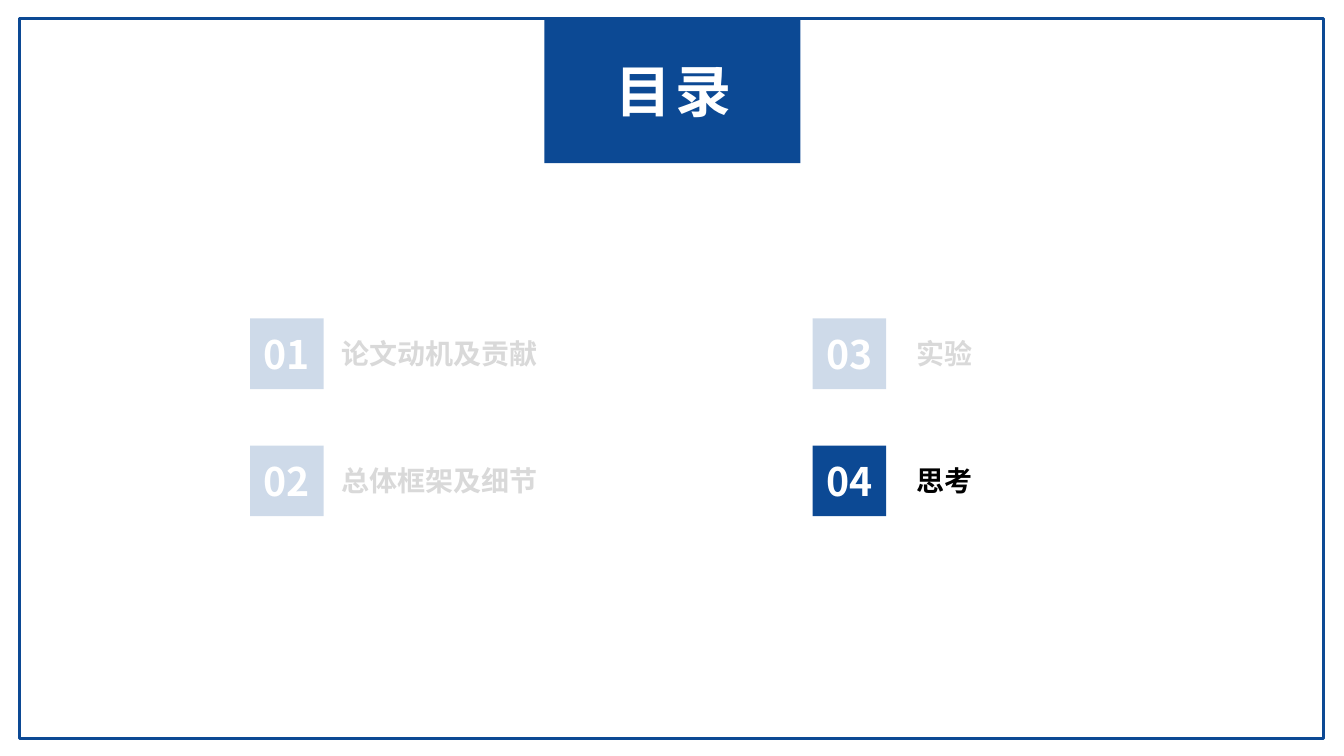
from dataclasses import dataclass

from lxml import etree
from pptx import Presentation
from pptx.dml.color import RGBColor
from pptx.enum.shapes import MSO_SHAPE
from pptx.enum.text import MSO_ANCHOR, MSO_AUTO_SIZE, PP_ALIGN
from pptx.oxml.ns import qn
from pptx.util import Pt

RECT, ROUND = MSO_SHAPE.RECTANGLE, MSO_SHAPE.ROUNDED_RECTANGLE
TOP, MIDDLE = MSO_ANCHOR.TOP, MSO_ANCHOR.MIDDLE
LEFT, CENTER = PP_ALIGN.LEFT, PP_ALIGN.CENTER
GROW = MSO_AUTO_SIZE.SHAPE_TO_FIT_TEXT

PX = 9144
FONT = "Noto Sans CJK SC"
COLORS = {"blue": "0C4994", "white": "FFFFFF", "gray": "D9D9D9", "black": "000000"}
BADGE_W, BADGE_H = 73, 70
ROW_TOP, ROW_STEP = 316, 126
LABEL_DROP, LABEL_H = 13, 44


@dataclass
class Column:
    badge_x: int
    label_x: int
    label_w: int


@dataclass
class Entry:
    text: str
    column: Column
    row: int
    active: bool = False


LEFT_COLUMN = Column(248, 329, 221)
RIGHT_COLUMN = Column(806, 899, 255)
ENTRIES = [
    Entry("论文动机及贡献", LEFT_COLUMN, 0),
    Entry("总体框架及细节", LEFT_COLUMN, 1),
    Entry("实验", RIGHT_COLUMN, 0),
    Entry("思考", RIGHT_COLUMN, 1, active=True),
]


def rgb(name: str) -> RGBColor:
    return RGBColor.from_string(COLORS[name])


def emu(*px: int) -> list[int]:
    return [v * PX for v in px]


def write(shape, text: str, size: int, color: str, align=LEFT, **frame):
    tf = shape.text_frame
    for name, value in frame.items():
        setattr(tf, name, value)
    p = tf.paragraphs[0]
    p.alignment = align
    r = p.add_run()
    r.text = text
    r.font.color.rgb = rgb(color)
    for name, value in {"size": Pt(size), "bold": True, "name": FONT}.items():
        setattr(r.font, name, value)
    rPr = r.font._element if hasattr(r.font, "_element") else r._r.get_or_add_rPr()
    etree.SubElement(rPr, qn("a:ea"), typeface=FONT)
    return rPr


def add_box(s, kind, box: list[int], fill: str = "", line: str = "", opacity: int = 100):
    sp = s.shapes.add_shape(kind, *box)
    sp.shadow.inherit = False
    if fill:
        sp.fill.solid()
        sp.fill.fore_color.rgb = rgb(fill)
    else:
        sp.fill.background()
    if line:
        sp.line.color.rgb = rgb(line)
        sp.line.width = Pt(2.25)
    else:
        sp.line.fill.background()
    if opacity < 100:
        color = sp.element.spPr.find(qn("a:solidFill"))[0]
        etree.SubElement(color, qn("a:alpha"), val=str(opacity * 1000))
    return sp


def add_title(s, text: str) -> None:
    title = s.shapes.title
    title.element.getparent().append(title.element)
    title.left, title.top, title.width, title.height = emu(600, 51, 141, 77)
    rPr = write(title, text, 40, "white", word_wrap=False,
                auto_size=GROW, vertical_anchor=TOP)
    rPr.set("spc", "300")


def add_entry(s, number: int, entry: Entry) -> None:
    col = entry.column
    y = ROW_TOP + entry.row * ROW_STEP
    badge = add_box(s, ROUND, emu(col.badge_x, y, BADGE_W, BADGE_H), "blue",
                    opacity=100 if entry.active else 20)
    badge.adjustments[0] = 0
    write(badge, f"{number:02}", 28, "white", CENTER, vertical_anchor=MIDDLE)
    label = s.shapes.add_textbox(*emu(col.label_x, y + LABEL_DROP, col.label_w, LABEL_H))
    write(label, entry.text, 20, "black" if entry.active else "gray",
          word_wrap=True, auto_size=GROW)


def main() -> None:
    prs = Presentation()
    prs.slide_width, prs.slide_height = emu(1333, 750)
    s = prs.slides.add_slide(prs.slide_layouts[5])
    add_box(s, RECT, emu(19, 18, 1294, 715), line="blue")
    add_box(s, RECT, emu(540, 18, 254, 144), "blue")
    add_title(s, "目录")
    for number, entry in enumerate(ENTRIES, 1):
        add_entry(s, number, entry)
    prs.save("out.pptx")


if __name__ == "__main__":
    main()
